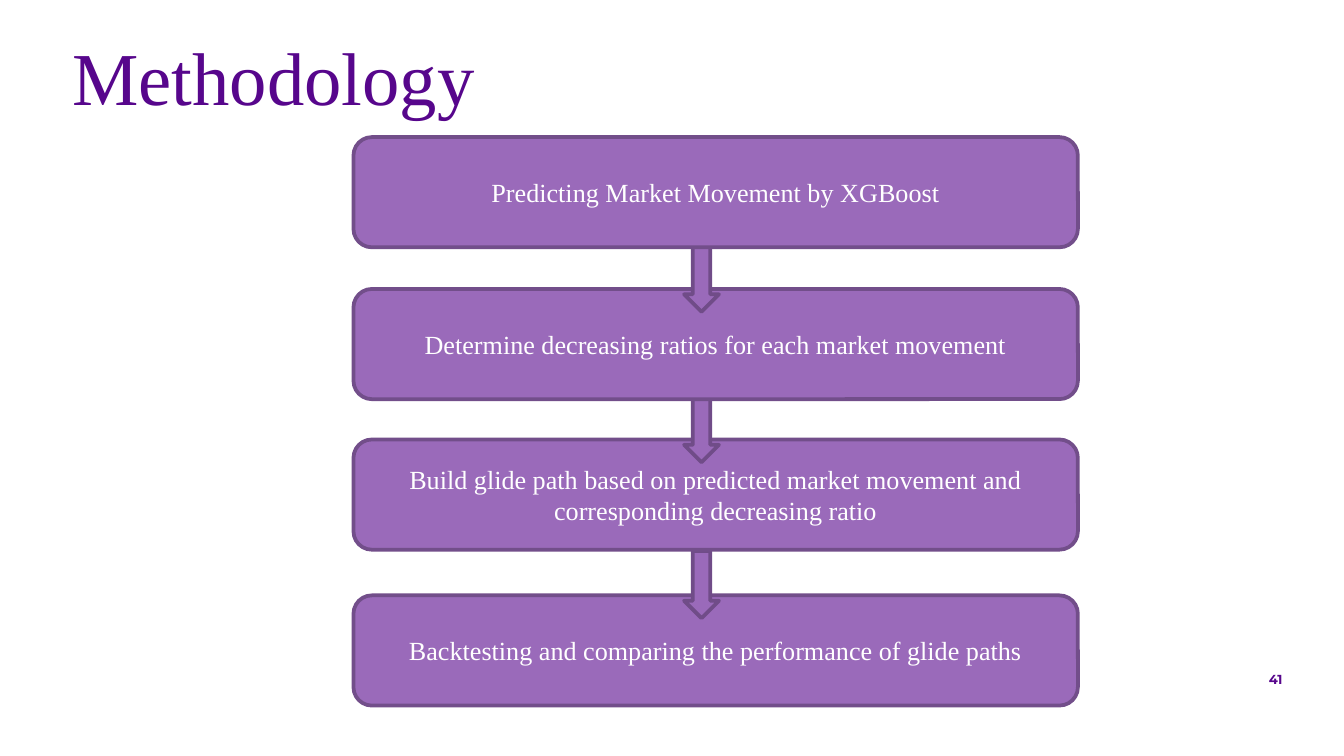
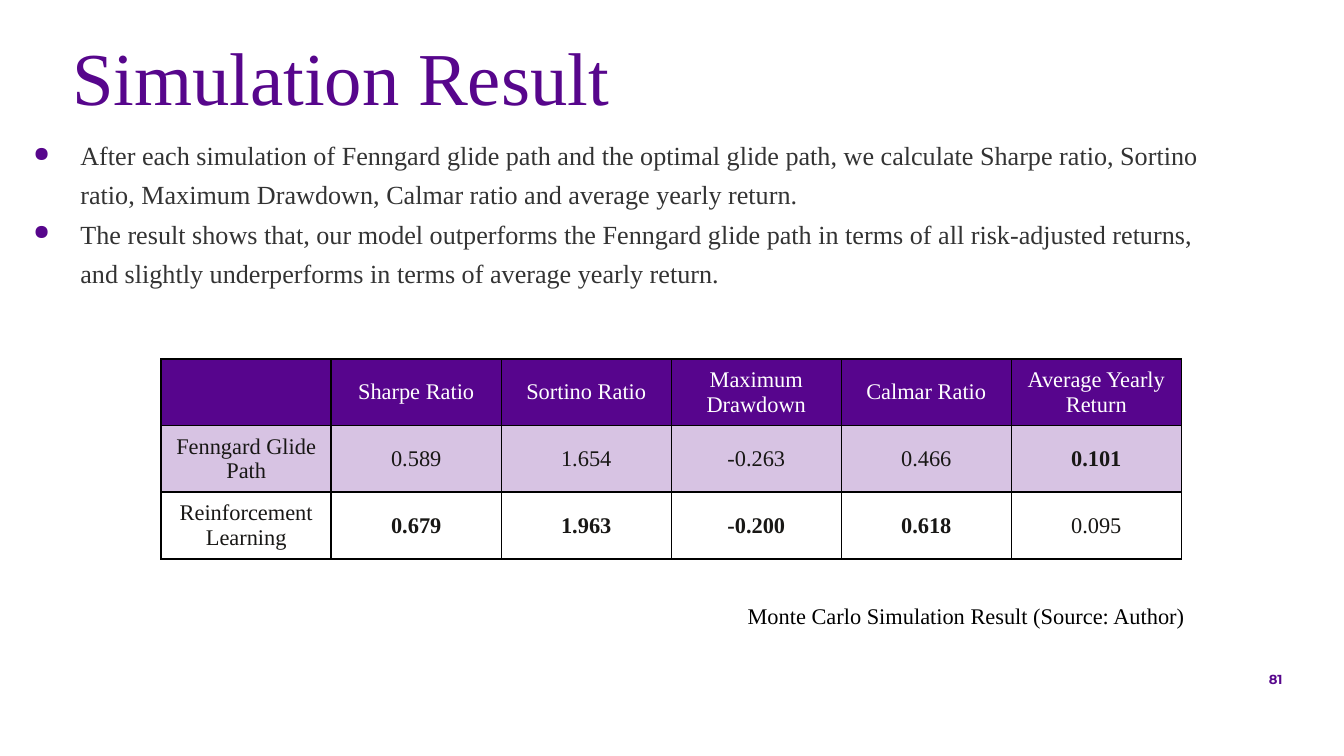
from lxml import etree
from pptx import Presentation
from pptx.dml.color import RGBColor
from pptx.enum.shapes import MSO_SHAPE
from pptx.enum.text import MSO_ANCHOR, PP_ALIGN
from pptx.oxml.ns import qn
from pptx.util import Inches, Pt

LEFT, CENTER, RIGHT = PP_ALIGN.LEFT, PP_ALIGN.CENTER, PP_ALIGN.RIGHT
MIDDLE = MSO_ANCHOR.MIDDLE
ROUND, DOWN = MSO_SHAPE.ROUNDED_RECTANGLE, MSO_SHAPE.DOWN_ARROW

# Content
STEPS = [
    (1.02, "Predicting Market Movement by XGBoost"),
    (2.15, "Determine decreasing ratios for each market movement"),
    (3.27, "Build glide path based on predicted market movement and "
           "corresponding decreasing ratio"),
    (4.43, "Backtesting and comparing the performance of glide paths"),
]
POINTS = [
    "After each simulation of Fenngard glide path and the optimal glide path, "
    "we calculate Sharpe ratio, Sortino ratio, Maximum Drawdown, Calmar ratio "
    "and average yearly return.",
    "The result shows that, our model outperforms the Fenngard glide path in "
    "terms of all risk-adjusted returns, and slightly underperforms in terms "
    "of average yearly return.",
]
RESULTS = [
    ["", "Sharpe Ratio", "Sortino Ratio", "Maximum Drawdown", "Calmar Ratio",
     "Average Yearly Return"],
    ["Fenngard Glide Path", "0.589", "1.654", "-0.263", "0.466", "0.101"],
    ["Reinforcement Learning", "0.679", "1.963", "-0.200", "0.618", "0.095"],
]
BEST = {"0.101", "0.679", "1.963", "-0.200", "0.618"}
CAPTION = "Monte Carlo Simulation Result (Source: Author)"

# Shared look
COLORS = {
    "title": "57068C", "body": "333333", "box": "9A6ABA", "edge": "724E8A",
    "tip": "704C88", "head": "57058D", "band": "D7C3E3", "cell": "181715",
    "white": "FFFFFF", "black": "000000",
}
SERIF = "Times New Roman"
FONTS = {
    "title": {"name": SERIF, "size": Pt(40), "color": "title"},
    "page": {"name": "Montserrat", "size": Pt(7), "bold": True, "color": "title"},
    "step": {"name": SERIF, "size": Pt(14), "color": "white"},
    "body": {"name": SERIF, "size": Pt(14), "color": "body"},
    "head": {"name": SERIF, "size": Pt(12), "bold": False, "color": "white"},
    "cell": {"name": SERIF, "size": Pt(12), "bold": False, "color": "cell"},
    "best": {"name": SERIF, "size": Pt(12), "bold": True, "color": "cell"},
    "note": {"name": SERIF, "size": Pt(12), "color": "black"},
}


def rgb(name):
    return RGBColor.from_string(COLORS[name])


def style(font, kind):
    for key, value in FONTS[kind].items():
        if key == "color":
            font.color.rgb = rgb(value)
        else:
            setattr(font, key, value)


def write(frame, lines, kind, align=LEFT, gap=None, dot=False):
    for i, line in enumerate(lines):
        para = frame.paragraphs[0] if i == 0 else frame.add_paragraph()
        para.alignment = align
        if gap:
            para.line_spacing = gap
        if dot:
            add_dot(para)
        run = para.add_run()
        run.text = line
        style(run.font, kind)


def add_dot(para):
    props = para._p.get_or_add_pPr()
    props.set("marL", str(Inches(0.5)))
    props.set("indent", str(Inches(-0.35)))
    tint = etree.SubElement(props, qn("a:buClr"))
    etree.SubElement(tint, qn("a:srgbClr"), val=COLORS["title"])
    etree.SubElement(props, qn("a:buSzPct"), val="80000")
    etree.SubElement(props, qn("a:buChar"), char="●")


def add_text(slide, at, lines, kind, pad=0.1, **look):
    frame = slide.shapes.add_textbox(*map(Inches, at)).text_frame
    frame.word_wrap = True
    frame.margin_top = frame.margin_bottom = Inches(pad)
    write(frame, lines, kind, **look)


def add_block(slide, form, at, edge):
    block = slide.shapes.add_shape(form, *map(Inches, at))
    block.shadow.inherit = False
    block.fill.solid()
    block.fill.fore_color.rgb = rgb("box")
    block.line.color.rgb = rgb(edge)
    block.line.width = Pt(2)
    return block


def add_slide(deck, title, page):
    slide = deck.slides.add_slide(deck.slide_layouts[6])
    add_text(slide, (5.05, 4.94, 4.59, 0.34), [page], "page", pad=0.14,
             align=RIGHT)
    add_text(slide, (0.44, 0.23, 8.16, 0.84), [title], "title", gap=0.85)
    return slide


def add_steps(slide):
    # From the last step up, so that each arrow starts under its own box
    for i, (top, text) in reversed(list(enumerate(STEPS))):
        box = add_block(slide, ROUND, (2.63, top, 5.39, 0.82), "edge")
        box.text_frame.word_wrap = True
        box.text_frame.vertical_anchor = MIDDLE
        write(box.text_frame, [text], "step", align=CENTER)
        if i:
            add_block(slide, DOWN, (5.09, top - 0.33, 0.26, 0.5), "tip")


def add_edges(cell):
    props = cell._tc.get_or_add_tcPr()
    for i, side in enumerate(("lnL", "lnR", "lnT", "lnB")):
        line = etree.Element(qn("a:" + side), w=str(Pt(1)))
        fill = etree.SubElement(line, qn("a:solidFill"))
        etree.SubElement(fill, qn("a:srgbClr"), val=COLORS["black"])
        props.insert(i, line)


def add_results(slide):
    rows, cols = len(RESULTS), len(RESULTS[0])
    area = map(Inches, (1.2, 2.67, 7.59, 1.49))
    table = slide.shapes.add_table(rows, cols, *area).table
    table.horz_banding = False
    fills = ["head", "band", None]
    for r, row in enumerate(RESULTS):
        for c, text in enumerate(row):
            cell = table.cell(r, c)
            cell.vertical_anchor = MIDDLE
            cell.margin_left = cell.margin_right = Inches(0.07)
            cell.margin_top = cell.margin_bottom = 0
            if fills[r]:
                cell.fill.solid()
                cell.fill.fore_color.rgb = rgb(fills[r])
            else:
                cell.fill.background()
            add_edges(cell)
            if text:
                kind = "best" if text in BEST else "cell" if r else "head"
                write(cell.text_frame, [text], kind, align=CENTER)


def main():
    deck = Presentation()
    deck.slide_width = Inches(10)
    deck.slide_height = deck.slide_width * 9 // 16

    # Method steps
    add_steps(add_slide(deck, "Methodology", "41"))

    # Simulation results
    slide = add_slide(deck, "Simulation Result", "81")
    add_text(slide, (0, 0.88, 9.06, 1.56), POINTS, "body", gap=1.25, dot=True)
    add_text(slide, (4.89, 4.43, 4.6, 0.3), [CAPTION], "note", pad=0.05,
             align=CENTER)
    add_results(slide)

    deck.save("out.pptx")


if __name__ == "__main__":
    main()
